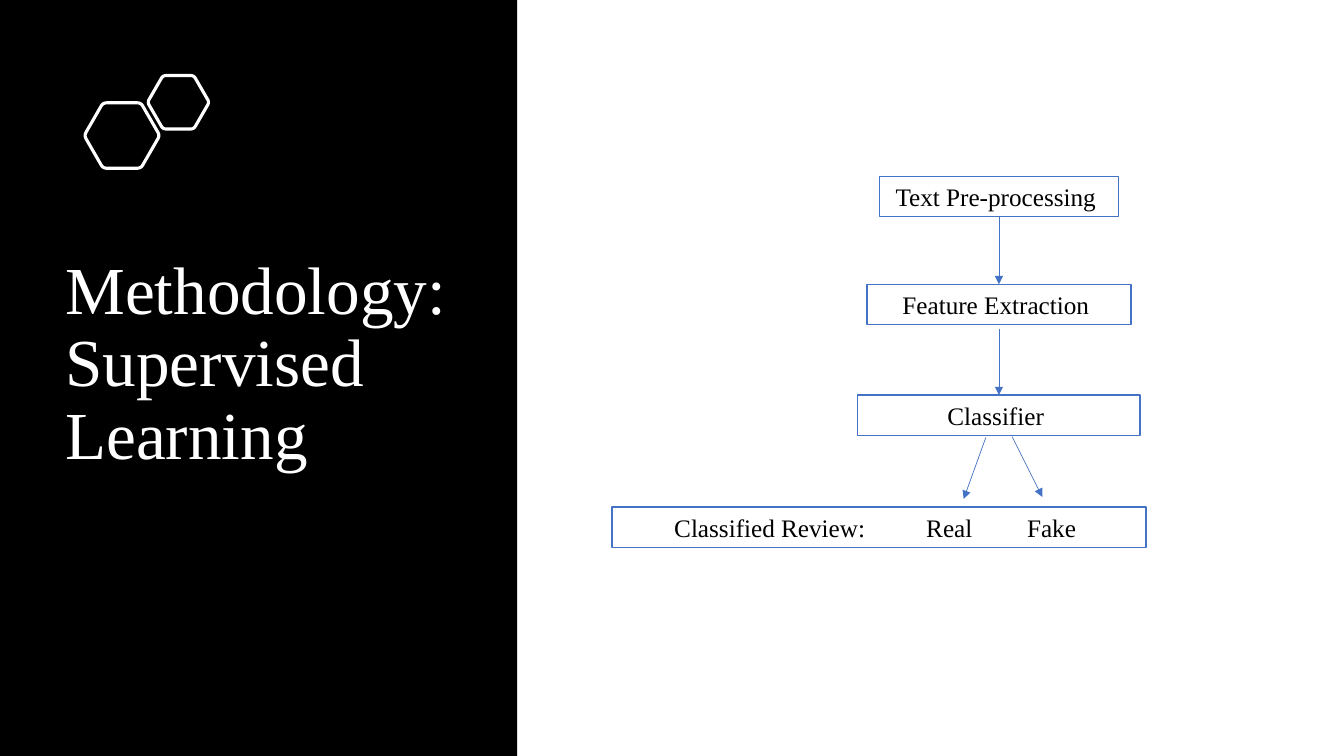
from dataclasses import dataclass
from math import cos, pi, sin

from lxml.etree import SubElement
from pptx import Presentation
from pptx.dml.color import RGBColor
from pptx.enum.shapes import MSO_CONNECTOR, MSO_SHAPE
from pptx.enum.text import MSO_ANCHOR, PP_ALIGN
from pptx.oxml.ns import qn
from pptx.util import Inches, Length, Pt

COLORS = {"panel": "000000", "paper": "FFFFFF", "ink": "000000", "flow": "4472C4"}
FONT = "Times New Roman"
COLUMNS, ROWS = 133.33, 75  # grid cells are a tenth of an inch
FLOW_AXIS = 99.1  # column on which the steps are centred
STEP_ROWS = 4


@dataclass(frozen=True)
class Step:
    label: str
    center: float
    top: float
    width: float


@dataclass(frozen=True)
class Arrow:
    start: tuple[float, float]
    end: tuple[float, float]


@dataclass(frozen=True)
class Hexagon:
    column: float
    row: float
    radius: float


STEPS = (
    Step("Text Pre-processing ", FLOW_AXIS, 17.5, 23.7),
    Step("Feature Extraction ", FLOW_AXIS, 28.2, 26.2),
    Step("Classifier ", FLOW_AXIS, 39.2, 28),
    Step("Classified Review:\t\tReal \tFake\t ", 87.2, 50.3, 53),
)
ARROWS = (
    Arrow((FLOW_AXIS, 21.5), (FLOW_AXIS, 28.2)),
    Arrow((FLOW_AXIS, 32.6), (FLOW_AXIS, 39.2)),
    Arrow((97.8, 43.4), (95.6, 49.5)),
    Arrow((100.4, 43.3), (103.4, 49.3)),
)
HEXAGONS = (Hexagon(12.1, 13.45, 3.75), Hexagon(17.7, 10.15, 3.06))


def grid(cells: float) -> Length:
    return Inches(cells / 10)


def color(name: str) -> RGBColor:
    return RGBColor.from_string(COLORS[name])


def style_text(frame, size: float, ink: str, align: PP_ALIGN) -> None:
    frame.word_wrap = True
    for paragraph in frame.paragraphs:
        paragraph.alignment = align
        for run in paragraph.runs:
            run.font.name = FONT
            run.font.size = Pt(size)
            run.font.color.rgb = color(ink)


def add_box(shapes, left: float, top: float, width: float, height: float, fill: str):
    box = shapes.add_shape(MSO_SHAPE.RECTANGLE, *map(grid, (left, top, width, height)))
    box.shadow.inherit = False
    box.fill.solid()
    box.fill.fore_color.rgb = color(fill)
    box.line.fill.background()
    return box


def add_step(shapes, step: Step) -> None:
    box = add_box(shapes, step.center - step.width / 2, step.top, step.width, STEP_ROWS, "paper")
    box.line.color.rgb = color("flow")
    box.line.width = Pt(1)
    box.text_frame.text = step.label
    box.text_frame.vertical_anchor = MSO_ANCHOR.TOP
    style_text(box.text_frame, 18, "ink", PP_ALIGN.CENTER)


def add_arrow(shapes, arrow: Arrow) -> None:
    link = shapes.add_connector(MSO_CONNECTOR.STRAIGHT, *map(grid, arrow.start + arrow.end))
    link.line.color.rgb = color("flow")
    link.line.width = Pt(0.5)
    SubElement(link.line._get_or_add_ln(), qn("a:tailEnd"), type="triangle")
    SubElement(link._element.spPr, qn("a:effectLst"))


def add_hexagon(shapes, hexagon: Hexagon) -> None:
    corners = [
        (hexagon.column + hexagon.radius * cos(i * pi / 3),
         hexagon.row + hexagon.radius * sin(i * pi / 3))
        for i in range(6)
    ]
    trim, bends = 0.1, 6
    outline = []
    for i, corner in enumerate(corners):
        before, after = corners[i - 1], corners[(i + 1) % 6]
        # Round each corner with a quadratic curve between its two sides
        for t in (bend / bends for bend in range(bends + 1)):
            pull_back, pull_on = trim * (1 - t) ** 2, trim * t ** 2
            outline.append(tuple(
                grid(c + pull_back * (b - c) + pull_on * (a - c))
                for b, c, a in zip(before, corner, after)
            ))
    builder = shapes.build_freeform(*outline[0])
    builder.add_line_segments(outline[1:], close=True)
    ring = builder.convert_to_shape()
    ring.shadow.inherit = False
    ring.fill.background()
    ring.line.color.rgb = color("paper")
    ring.line.width = Pt(2.25)


def add_title(shapes) -> None:
    title = shapes.add_textbox(*map(grid, (5.5, 12.8, 42.1, 46.8)))
    title.text_frame.text = "Methodology:\vSupervised Learning"
    title.text_frame.vertical_anchor = MSO_ANCHOR.MIDDLE
    title.text_frame.paragraphs[0].line_spacing = 0.9
    style_text(title.text_frame, 48, "paper", PP_ALIGN.LEFT)


def main() -> None:
    deck = Presentation()
    deck.slide_width, deck.slide_height = grid(COLUMNS), grid(ROWS)
    slide = deck.slides.add_slide(deck.slide_layouts[6])
    shapes = slide.shapes

    # Title panel
    add_box(shapes, 0, 0, 51.3, ROWS, "panel")
    for hexagon in HEXAGONS:
        add_hexagon(shapes, hexagon)
    add_title(shapes)

    # Classification flow
    for step in STEPS:
        add_step(shapes, step)
    for arrow in ARROWS:
        add_arrow(shapes, arrow)

    deck.save("out.pptx")


if __name__ == "__main__":
    main()
